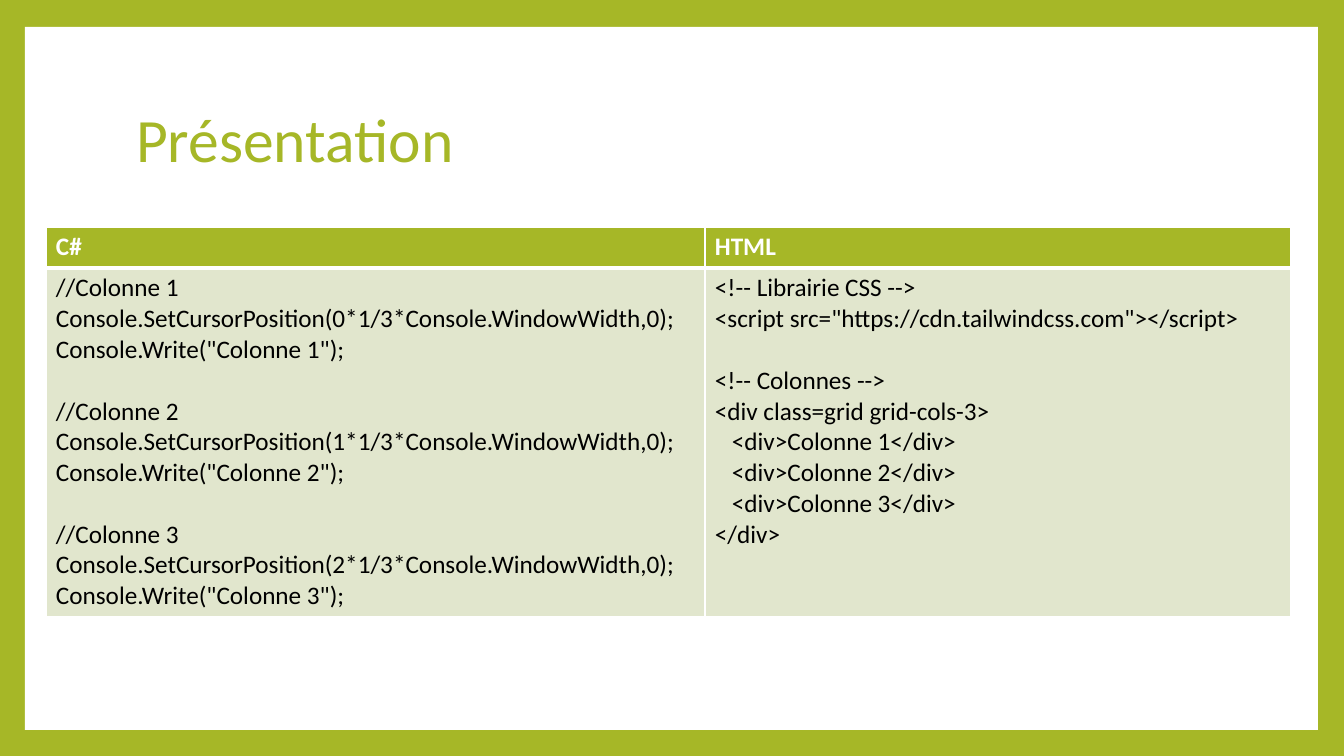
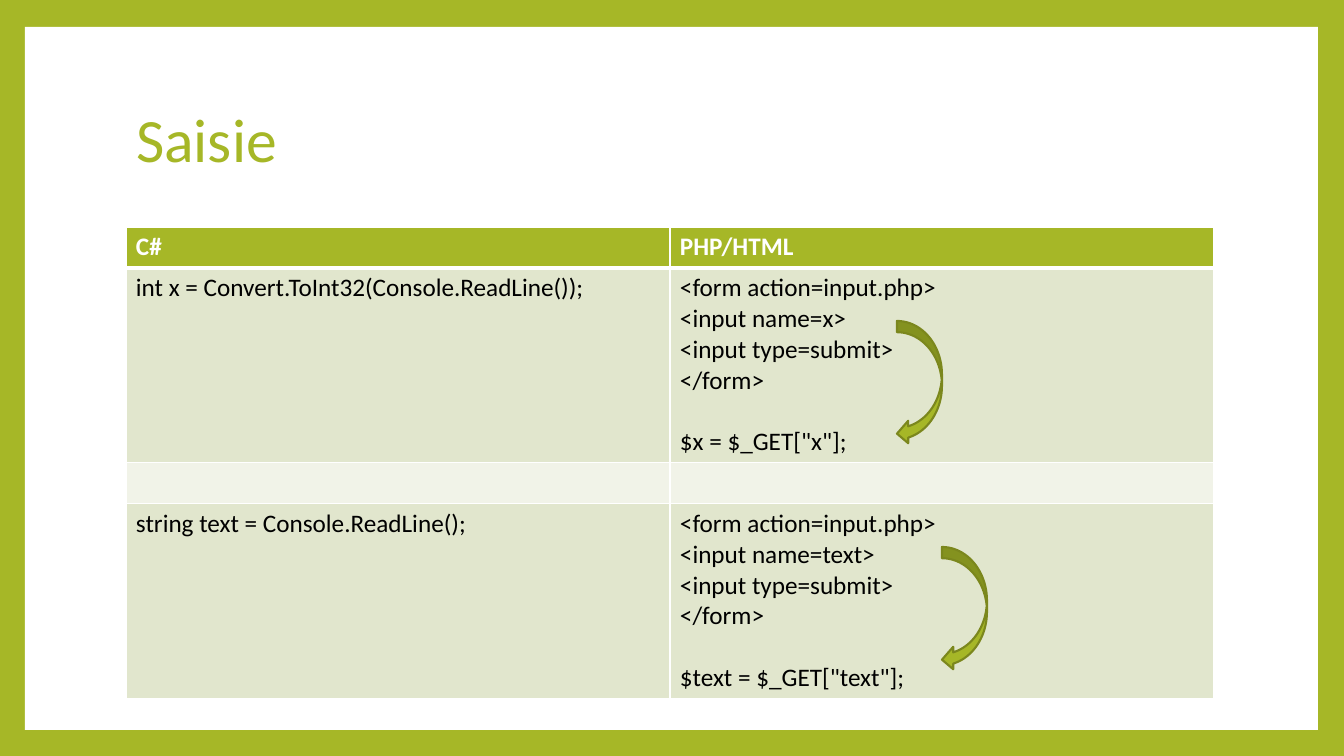
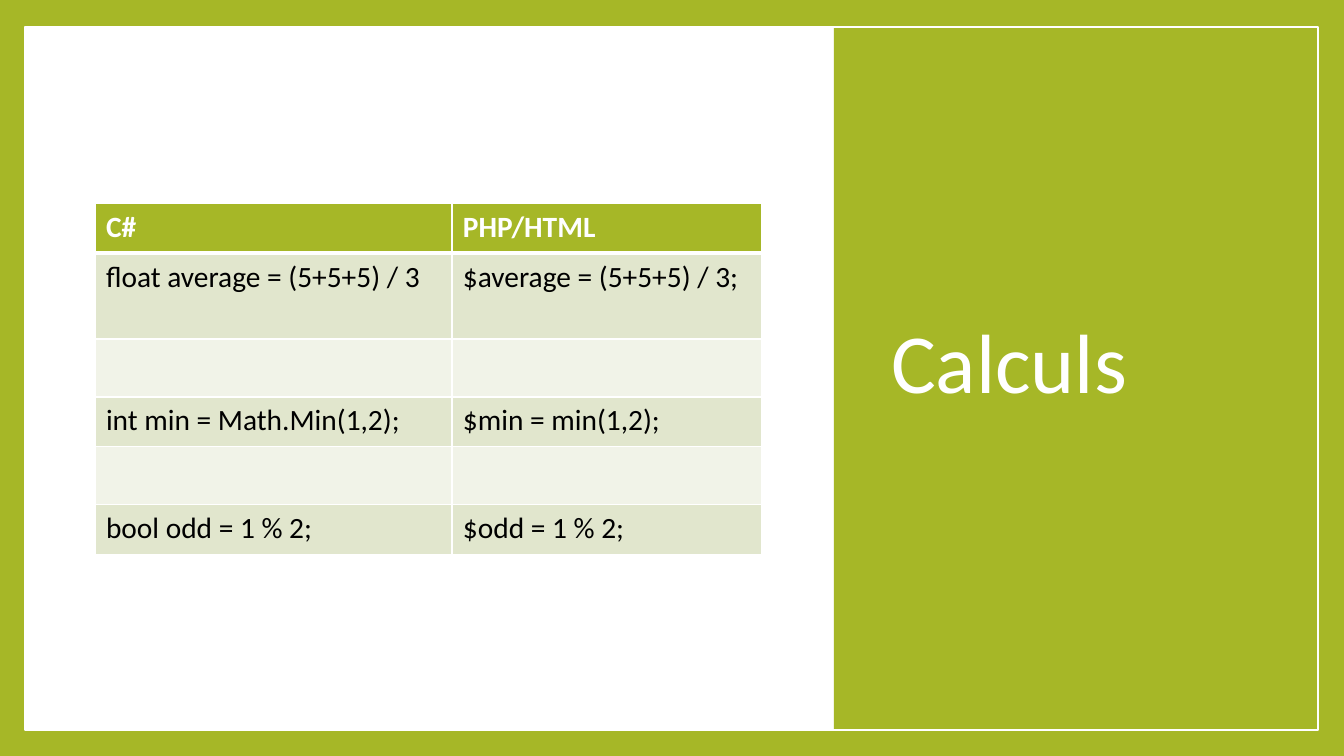
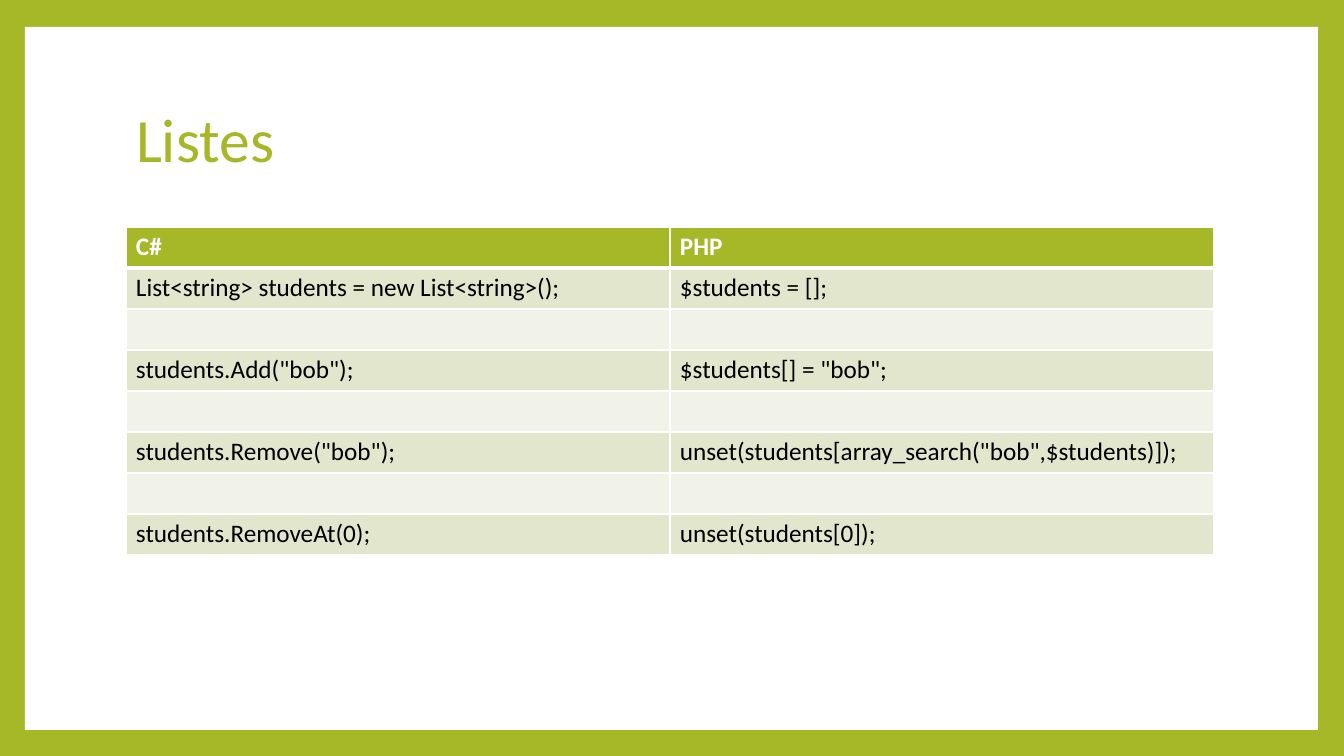
"""Build four slides that compare C# code with its web equivalents."""

from lxml.etree import SubElement
from pptx import Presentation
from pptx.dml.color import RGBColor
from pptx.enum.shapes import MSO_SHAPE as Shape
from pptx.enum.text import MSO_ANCHOR as Anchor, MSO_AUTO_SIZE as AutoSize, PP_ALIGN as Align
from pptx.oxml.ns import qn
from pptx.util import Pt

PX = 9071
GREEN = RGBColor(0xA6, 0xB7, 0x27)
DARK_GREEN = RGBColor(0x7B, 0x87, 0x1D)
BAND = RGBColor(0xE1, 0xE6, 0xCD)
LIGHT_BAND = RGBColor(0xF1, 0xF3, 0xE8)
WHITE = RGBColor(0xFF, 0xFF, 0xFF)
BLACK = RGBColor(0x00, 0x00, 0x00)
FONT = "Calibri"
PANEL = (25, 27, 1293, 703)
CODE_INDENT = 17
BLANK_LINE = Pt(22)


def write_text(frame, text, size=18, color=BLACK, bold=False, line_spacing=None):
    """Write lines; a blank line becomes spacing and leading spaces an indent."""
    paragraph = frame.paragraphs[0]
    gap = None
    for number, line in enumerate(text.split("\n")):
        if not line:
            gap = BLANK_LINE
            continue
        if number:
            paragraph = frame.add_paragraph()
        paragraph.alignment = Align.LEFT
        paragraph.line_spacing = line_spacing
        paragraph.space_before = gap
        gap = None
        if line.startswith(" "):
            paragraph._p.get_or_add_pPr().set("marL", str(CODE_INDENT * PX))
        run = paragraph.add_run()
        run.text = line.lstrip()
        run.font.name = FONT
        run.font.size = Pt(size)
        run.font.bold = bold
        run.font.color.rgb = color


def add_box(slide, kind, box, fill=None, line=None, line_width=1):
    """Add a preset shape without shadow; box is left, top, width, height in px."""
    shape = slide.shapes.add_shape(kind, *(length * PX for length in box))
    shape.shadow.inherit = False
    if fill is None:
        shape.fill.background()
    else:
        shape.fill.solid()
        shape.fill.fore_color.rgb = fill
    if line is None:
        shape.line.fill.background()
    else:
        shape.line.color.rgb = line
        shape.line.width = Pt(line_width)
    return shape


CONSOLE_COLUMNS = """//Colonne 1
Console.SetCursorPosition(0*1/3*Console.WindowWidth,0);
Console.Write("Colonne 1");

//Colonne 2
Console.SetCursorPosition(1*1/3*Console.WindowWidth,0);
Console.Write("Colonne 2");

//Colonne 3
Console.SetCursorPosition(2*1/3*Console.WindowWidth,0);
Console.Write("Colonne 3");"""

HTML_COLUMNS = """<!-- Librairie CSS -->
<script src="https://cdn.tailwindcss.com"></script>

<!-- Colonnes -->
<div class=grid grid-cols-3>
 <div>Colonne 1</div>
 <div>Colonne 2</div>
 <div>Colonne 3</div>
</div>"""

FORM = """<form action=input.php>
<input name={0}>
<input type=submit>
</form>

${0} = $_GET["{0}"];"""

EMPTY = ("", "")
TITLE = dict(box=(126, 68, 1089, 149), size=44, color=GREEN)
SIDE_TITLE = dict(box=(881, 68, 394, 596), size=60, color=WHITE)
CODE = dict(size=18, margins=(10, 5))
LARGE_CODE = dict(size=21, margins=(11, 6))

SLIDES = [
    dict(title="Présentation", title_style=TITLE, code_style=CODE,
         corner=(46, 227), widths=(659, 586), heights=(41, 348),
         rows=[("C#", "HTML"), (CONSOLE_COLUMNS, HTML_COLUMNS)]),
    dict(title="Saisie", title_style=TITLE, code_style=CODE,
         corner=(126, 227), widths=(544, 544), heights=(41, 194, 41, 194),
         rows=[("C#", "PHP/HTML"),
               ("int x = Convert.ToInt32(Console.ReadLine());", FORM.format("x")),
               EMPTY,
               ("string text = Console.ReadLine();", FORM.format("text"))],
         arrows=[(897, 321), (942, 547)]),
    dict(title="Calculs", title_style=SIDE_TITLE, code_style=LARGE_CODE,
         corner=(95, 203), widths=(357, 310), heights=(50, 86, 58, 50, 58, 50),
         rows=[("C#", "PHP/HTML"),
               ("float average = (5+5+5) / 3", "$average = (5+5+5) / 3;"),
               EMPTY,
               ("int min = Math.Min(1,2);", "$min = min(1,2);"),
               EMPTY,
               ("bool odd = 1 % 2;", "$odd = 1 % 2;")],
         side_panel=(834, 0, 510, 756)),
    dict(title="Listes", title_style=TITLE, code_style=CODE,
         corner=(126, 227), widths=(544, 544), heights=(41,) * 8,
         rows=[("C#", "PHP"),
               ("List<string> students = new List<string>();", "$students = [];"),
               EMPTY,
               ('students.Add("bob");', '$students[] = "bob";'),
               EMPTY,
               ('students.Remove("bob");', 'unset(students[array_search("bob",$students)]);'),
               EMPTY,
               ("students.RemoveAt(0);", "unset(students[0]);")]),
]

presentation = Presentation()
presentation.slide_width = 1344 * PX
presentation.slide_height = 756 * PX
layout = presentation.slide_layouts[5]
layout.background.fill.solid()
layout.background.fill.fore_color.rgb = GREEN

for content in SLIDES:
    slide = presentation.slides.add_slide(layout)

    title = slide.shapes.title
    style = content["title_style"]
    title.left, title.top, title.width, title.height = (length * PX for length in style["box"])
    title.text_frame.word_wrap = True
    title.text_frame.auto_size = AutoSize.NONE
    title.text_frame.vertical_anchor = Anchor.MIDDLE
    write_text(title.text_frame, content["title"], size=style["size"],
               color=style["color"], line_spacing=0.9)

    if "side_panel" in content:
        side_panel = add_box(slide, Shape.RECTANGLE, content["side_panel"], fill=GREEN)
        slide.shapes.element.insert(2, side_panel.element)
        add_box(slide, Shape.RECTANGLE, PANEL, line=WHITE)

    left, top = content["corner"]
    widths, heights, rows = content["widths"], content["heights"], content["rows"]
    table = slide.shapes.add_table(len(rows), len(widths), left * PX, top * PX,
                                   sum(widths) * PX, sum(heights) * PX).table
    for column, width in zip(table.columns, widths):
        column.width = width * PX
    for row, height in zip(table.rows, heights):
        row.height = height * PX

    size = content["code_style"]["size"]
    side_margin, end_margin = content["code_style"]["margins"]
    for row_number, texts in enumerate(rows):
        header = row_number == 0
        fill = GREEN if header else BAND if row_number % 2 else LIGHT_BAND
        borders = {"a:lnL": 1, "a:lnR": 1,
                   "a:lnT": 3 if row_number == 1 else 1,
                   "a:lnB": 3 if header else 1}
        for column_number, text in enumerate(texts):
            cell = table.cell(row_number, column_number)
            cell.margin_left = cell.margin_right = side_margin * PX
            cell.margin_top = cell.margin_bottom = end_margin * PX
            properties = cell._tc.get_or_add_tcPr()
            for tag, width in borders.items():
                border = SubElement(properties, qn(tag), w=str(Pt(width)))
                SubElement(SubElement(border, qn("a:solidFill")), qn("a:srgbClr"), val=str(WHITE))
            cell.fill.solid()
            cell.fill.fore_color.rgb = fill
            write_text(cell.text_frame, text, size=size, bold=header,
                       color=WHITE if header else BLACK)

    for arrow_left, arrow_top in content.get("arrows", []):
        add_box(slide, Shape.CURVED_LEFT_ARROW, (arrow_left, arrow_top, 45, 124),
                fill=GREEN, line=DARK_GREEN, line_width=1.5)

panel = add_box(slide, Shape.RECTANGLE, PANEL, fill=WHITE)
layout.shapes.element.insert(2, panel.element)

presentation.save("out.pptx")
